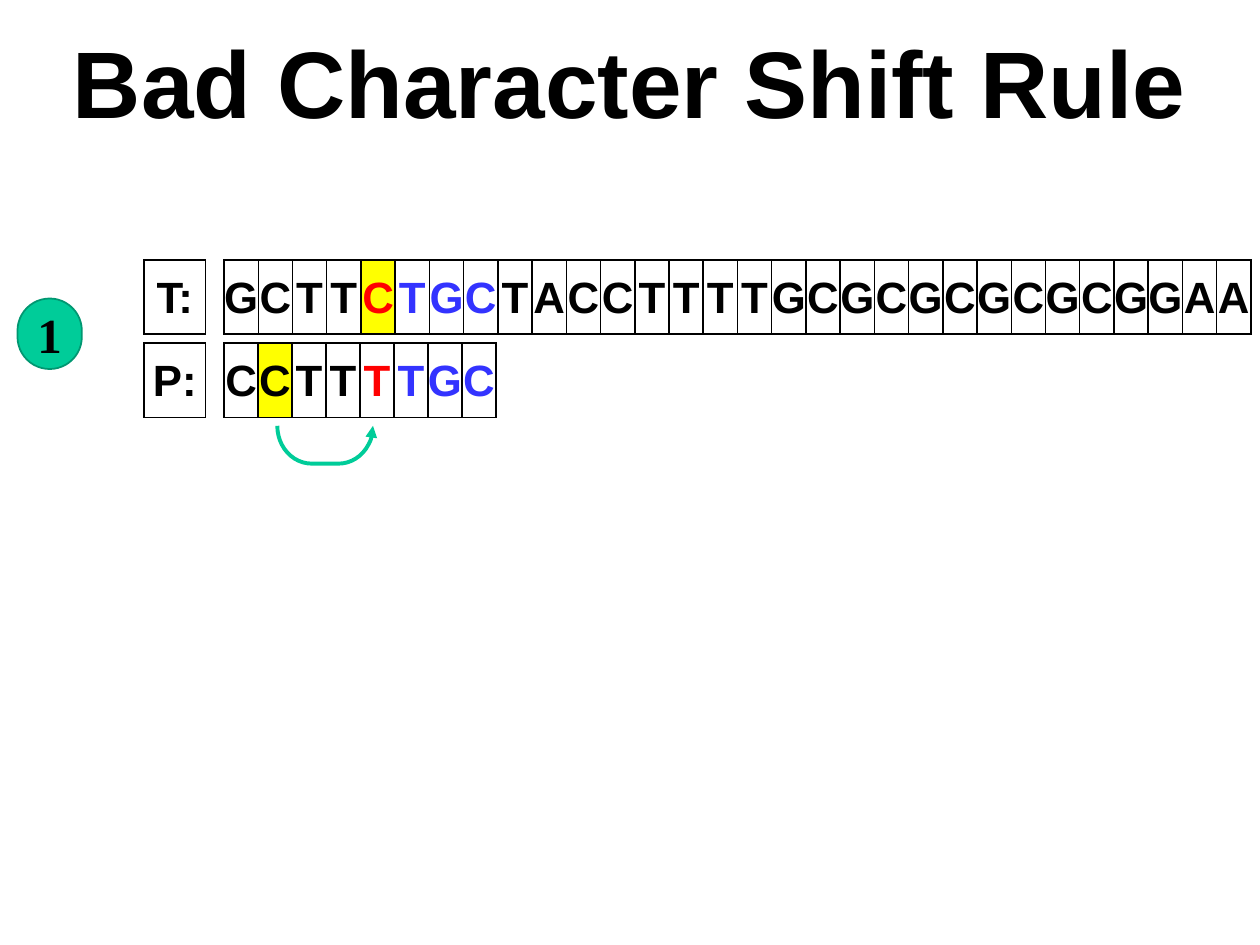
from dataclasses import dataclass, field

from lxml import etree
from pptx import Presentation
from pptx.dml.color import RGBColor
from pptx.enum import shapes, text
from pptx.oxml import ns
from pptx.util import Pt

BLACK = RGBColor(0x00, 0x00, 0x00)
WHITE = RGBColor(0xFF, 0xFF, 0xFF)
RED = RGBColor(0xFF, 0x00, 0x00)
BLUE = RGBColor(0x33, 0x33, 0xFF)
YELLOW = RGBColor(0xFF, 0xFF, 0x00)
GREEN = RGBColor(0x00, 0xCC, 0x99)
DARK_GREEN = RGBColor(0x00, 0x97, 0x71)

ROW_H = 42.48
TEXT_TOP, PATTERN_TOP = 148.5, 196
LABEL_LEFT, LABEL_W = 82.2, 35.28
LETTERS_LEFT = 128

MISMATCH = {4: RED, 5: BLUE, 6: BLUE, 7: BLUE}


@dataclass
class Strip:
    left: float
    top: float
    col_w: float
    cells: list[str]
    colors: dict[int, RGBColor] = field(default_factory=dict)
    marked: int | None = None


STRIPS = [
    Strip(LETTERS_LEFT, TEXT_TOP, 19.58, list("GCTTCTGCTACCTTTTGCGCGCGCGCGGAA"), MISMATCH, 4),
    Strip(LETTERS_LEFT, PATTERN_TOP, 19.44, list("CCTTTTGC"), MISMATCH, 1),
    Strip(LABEL_LEFT, TEXT_TOP, LABEL_W, ["T:"]),
    Strip(LABEL_LEFT, PATTERN_TOP, LABEL_W, ["P:"]),
]


def add_run(p, content: str, size: float, font: str = "Arial", color: RGBColor = BLACK) -> None:
    p.alignment = text.PP_ALIGN.CENTER
    r = p.add_run()
    r.text = content
    r.font.size = Pt(size)
    r.font.name = font
    r.font.bold = True
    r.font.color.rgb = color


def add_borders(cell) -> None:
    tc_pr = cell._tc.get_or_add_tcPr()
    for i, side in enumerate(("lnL", "lnR", "lnT", "lnB")):
        ln = etree.Element(ns.qn(f"a:{side}"), w=str(Pt(1)))
        fill = etree.SubElement(ln, ns.qn("a:solidFill"))
        etree.SubElement(fill, ns.qn("a:srgbClr"), val=str(BLACK))
        tc_pr.insert(i, ln)


def add_strip(s, strip: Strip) -> None:
    n = len(strip.cells)
    frame = s.shapes.add_table(
        1, n, Pt(strip.left), Pt(strip.top), Pt(strip.col_w * n), Pt(ROW_H))
    table = frame.table
    table.first_row = table.horz_banding = False
    for i, letter in enumerate(strip.cells):
        table.columns[i].width = Pt(strip.col_w)
        cell = table.cell(0, i)
        cell.margin_left = cell.margin_right = cell.margin_top = cell.margin_bottom = 0
        cell.vertical_anchor = text.MSO_ANCHOR.MIDDLE
        cell.fill.solid()
        cell.fill.fore_color.rgb = YELLOW if i == strip.marked else WHITE
        add_borders(cell)
        p = cell.text_frame.paragraphs[0]
        p.line_spacing = 1.07
        p.space_after = Pt(8)
        add_run(p, letter, 25, color=strip.colors.get(i, BLACK))


def add_title(s, content: str) -> None:
    sp = s.shapes.add_textbox(Pt(28.8), Pt(10), Pt(661.7), Pt(72))
    tf = sp.text_frame
    tf.word_wrap = True
    tf.vertical_anchor = text.MSO_ANCHOR.MIDDLE
    add_run(tf.paragraphs[0], content, 54)


def add_step(s, number: str) -> None:
    sp = s.shapes.add_shape(
        shapes.MSO_SHAPE.ROUNDED_RECTANGLE, Pt(10), Pt(170.6), Pt(36.8), Pt(40.3))
    sp.adjustments[0] = 0.5
    sp.shadow.inherit = False
    sp.fill.solid()
    sp.fill.fore_color.rgb = GREEN
    sp.line.color.rgb = DARK_GREEN
    sp.line.width = Pt(1)
    tf = sp.text_frame
    tf.word_wrap = False
    tf.vertical_anchor = text.MSO_ANCHOR.MIDDLE
    add_run(tf.paragraphs[0], number, 28, "Times New Roman")


def add_shift_arrow(s) -> None:
    sp = s.shapes.add_shape(
        shapes.MSO_SHAPE.RIGHT_BRACKET, Pt(175), Pt(226.8), Pt(21.6), Pt(54.7))
    sp.rotation = 90
    sp.adjustments[0] = 0.91
    sp.shadow.inherit = False
    sp.fill.background()
    sp.line.color.rgb = GREEN
    sp.line.width = Pt(2.25)
    etree.SubElement(sp.line._get_or_add_ln(), ns.qn("a:headEnd"), type="triangle")


def main() -> None:
    prs = Presentation()
    prs.slide_width, prs.slide_height = Pt(720), Pt(540)
    s = prs.slides.add_slide(prs.slide_layouts[6])
    add_title(s, "Bad Character Shift Rule")
    for strip in STRIPS:
        add_strip(s, strip)
    add_step(s, "1")
    add_shift_arrow(s)
    prs.save("out.pptx")


if __name__ == "__main__":
    main()
